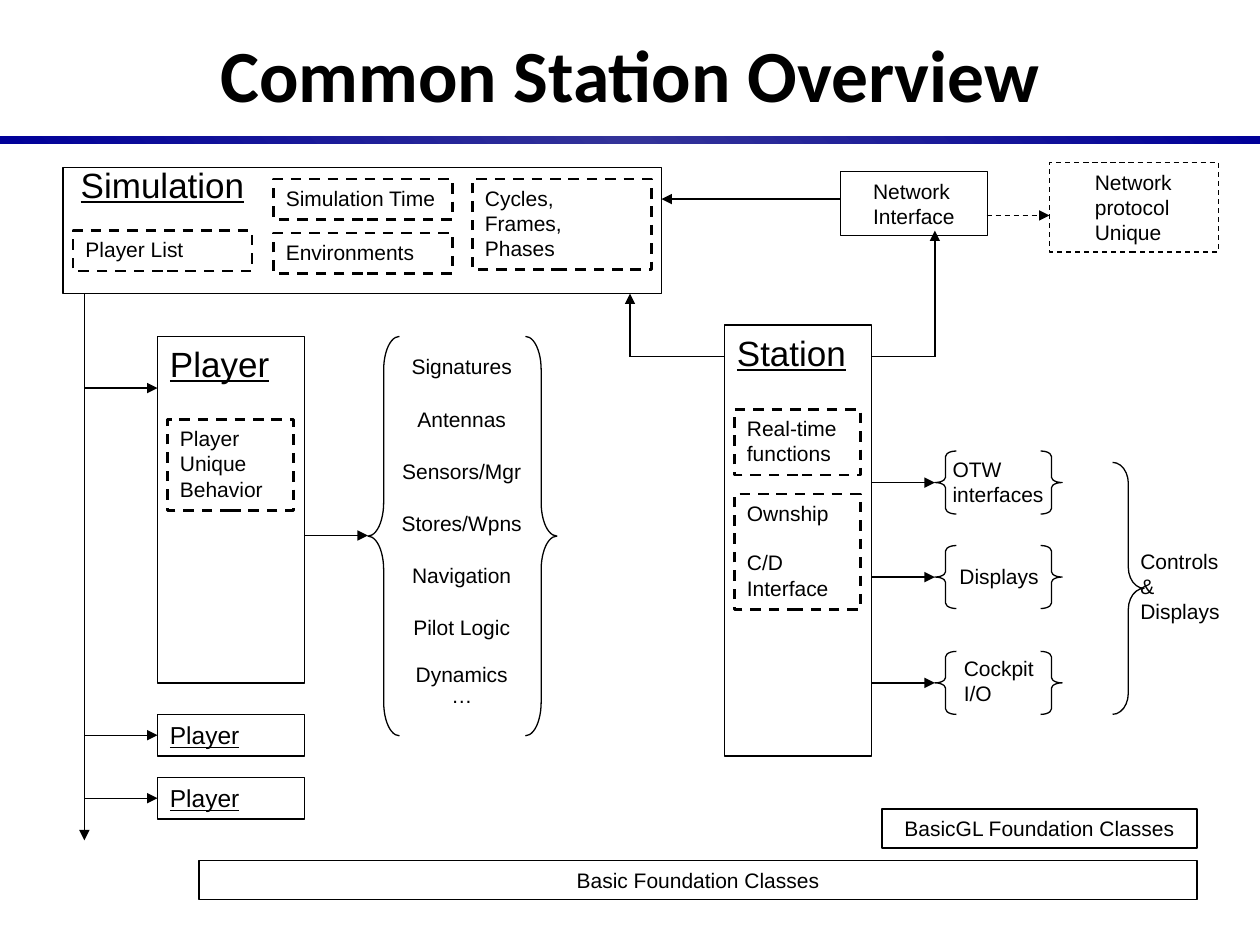
from copy import deepcopy
from dataclasses import dataclass

from lxml import etree
from pptx import Presentation
from pptx.dml.color import RGBColor
from pptx.enum.dml import MSO_LINE_DASH_STYLE as DASH
from pptx.enum.shapes import MSO_CONNECTOR as CONN, MSO_SHAPE as SHAPE
from pptx.enum.text import MSO_ANCHOR as ANCHOR, PP_ALIGN as ALIGN
from pptx.oxml.ns import qn
from pptx.util import Inches, Pt

BLACK, NAVY, INDIGO = "000000", "000099", "333399"
THIN, THICK = 0.75, 1.5


@dataclass
class Box:
    x: float
    y: float
    w: float
    h: float
    text: str = ""
    size: int = 12
    heading: bool = False  # underlined
    outline: float = THIN  # 0 gives a plain label
    dashed: bool = False
    inset: float = 0  # left margin of left-aligned text; 0 centres it
    anchor: ANCHOR = ANCHOR.MIDDLE


@dataclass
class Line:
    x1: float
    y1: float
    x2: float
    y2: float
    arrow: bool = True
    dashed: bool = False


def colour(value: str) -> RGBColor:
    return RGBColor.from_string(value)


def style_line(line, width: float, dashed: bool = False) -> None:
    line.color.rgb = colour(BLACK)
    line.width = Pt(width)
    if dashed:
        line.dash_style = DASH.DASH


def draw_box(shapes, box: Box):
    place = [Inches(v) for v in (box.x, box.y, box.w, box.h)]
    if box.outline:
        sp = shapes.add_shape(SHAPE.RECTANGLE, *place)
        sp.shadow.inherit = False
        sp.fill.background()
        style_line(sp.line, box.outline, box.dashed)
    else:
        sp = shapes.add_textbox(*place)
    if box.text:
        tf = sp.text_frame
        tf.text = box.text
        tf.word_wrap = True
        tf.vertical_anchor = box.anchor
        tf.margin_left, tf.margin_right = Inches(box.inset), 0
        for p in tf.paragraphs:
            p.alignment = ALIGN.LEFT if box.inset else ALIGN.CENTER
            for r in p.runs:
                r.font.name = "Arial"
                r.font.size = Pt(box.size)
                r.font.underline = box.heading
                r.font.color.rgb = colour(BLACK)
    return sp


def draw_line(shapes, line: Line):
    cxn = shapes.add_connector(
        CONN.STRAIGHT, *(Inches(v) for v in (line.x1, line.y1, line.x2, line.y2)))
    style_line(cxn.line, THIN, line.dashed)
    if line.arrow:
        etree.SubElement(cxn.line._get_or_add_ln(), qn("a:tailEnd"), type="triangle")
    etree.SubElement(cxn._element.spPr, qn("a:effectLst"))
    return cxn


def draw_brace(shapes, kind: SHAPE, x: float, y: float, w: float, h: float, curve: float) -> None:
    sp = shapes.add_shape(kind, *(Inches(v) for v in (x, y, w, h)))
    sp.shadow.inherit = False
    sp.fill.background()
    sp.adjustments[0] = curve
    style_line(sp.line, THIN)


def label(x: float, y: float, w: float, h: float, text: str, inset: float = 0) -> Box:
    return Box(x, y, w, h, text, outline=0, inset=inset)


def heading(x: float, y: float, w: float, h: float, text: str, size: int,
            inset: float = 0.1) -> Box:
    return Box(x, y, w, h, text, size, heading=True, outline=0, inset=inset)


def part(x: float, y: float, w: float, h: float, text: str) -> Box:
    return Box(x, y, w, h, text, outline=THICK, dashed=True, inset=0.1, anchor=ANCHOR.TOP)


def draw_title(slide) -> None:
    bar = slide.shapes.add_shape(SHAPE.RECTANGLE, 0, Inches(1.08), Inches(10), Inches(0.06))
    bar.shadow.inherit = False
    bar.line.fill.background()
    bar.fill.gradient()
    bar.fill.gradient_angle = 45
    first = bar.fill._fill._gradFill.gsLst[0]
    first.addnext(deepcopy(first))
    for stop, (pos, value) in zip(bar.fill.gradient_stops, [(0, NAVY), (0.5, INDIGO), (1, NAVY)]):
        stop.position = pos
        stop.color.rgb = colour(value)

    title = slide.shapes.title
    title.left, title.top, title.width, title.height = (Inches(v) for v in (0, 0.08, 10, 1))
    title.text_frame.text = "Common Station Overview"
    title.text_frame.vertical_anchor = ANCHOR.MIDDLE
    p = title.text_frame.paragraphs[0]
    p.alignment = ALIGN.CENTER
    font = p.runs[0].font
    font.name, font.size, font.bold = "Calibri", Pt(42), True
    font.color.rgb = colour(BLACK)


def draw_simulation(shapes) -> None:
    for box in (
        Box(0.5, 1.33, 4.75, 1),
        heading(0.25, 1.25, 2.08, 0.43, "Simulation", 20, inset=0),
        part(0.58, 1.83, 1.42, 0.32, "Player List"),
        part(2.17, 1.42, 1.42, 0.32, "Simulation Time"),
        part(2.17, 1.85, 1.42, 0.32, "Environments"),
        part(3.75, 1.42, 1.42, 0.72, "Cycles,\nFrames,\nPhases"),
    ):
        draw_box(shapes, box)


def draw_players(shapes) -> None:
    draw_box(shapes, Box(1.25, 2.67, 1.17, 2.75))
    draw_box(shapes, heading(1.25, 2.67, 1.08, 0.43, "Player", 20))
    draw_box(shapes, part(1.33, 3.33, 1, 0.72, "Player\nUnique\nBehavior"))
    draw_line(shapes, Line(0.67, 2.33, 0.67, 6.67))
    draw_line(shapes, Line(0.67, 3.08, 1.25, 3.08))
    height = 0.33
    for y in (5.67, 6.17):
        frame = draw_box(shapes, Box(1.25, y, 1.17, height))
        draw_box(shapes, heading(1.25, y, 1.08, height, "Player", 14))
        middle = y + height / 2
        draw_line(shapes, Line(0.67, middle, 1.25, middle)).end_connect(frame, 1)

    # Player components between braces
    draw_line(shapes, Line(2.42, 4.25, 2.92, 4.25))
    draw_brace(shapes, SHAPE.LEFT_BRACE, 2.92, 2.67, 0.25, 3.17, 1.06)
    draw_brace(shapes, SHAPE.RIGHT_BRACE, 4.17, 2.67, 0.25, 3.17, 1.06)
    names = ["Signatures", "Antennas", "Sensors/Mgr", "Stores/Wpns", "Navigation", "Pilot Logic"]
    pitch = (4.83 - 2.76) / (len(names) - 1)
    rows = [(2.76 + i * pitch, name) for i, name in enumerate(names)]
    for y, name in rows + [(5.2, "Dynamics"), (5.37, "…")]:
        draw_box(shapes, label(3.08, y, 1.17, 0.3, name))


def draw_station(shapes) -> None:
    draw_box(shapes, Box(5.75, 2.58, 1.17, 3.42))
    draw_box(shapes, heading(5.75, 2.58, 1.08, 0.43, "Station", 20))
    draw_box(shapes, part(5.83, 3.25, 1, 0.52, "Real-time\nfunctions"))
    ownship = draw_box(shapes, part(5.83, 3.92, 1, 0.92, "Ownship\nC/D\nInterface"))
    ownship.text_frame.paragraphs[1].space_before = Pt(14)

    # Station outputs, each between small braces
    for y, output in (
        (3.83, label(7.42, 3.57, 1, 0.5, "OTW interfaces", inset=0.14)),
        (4.58, label(7.51, 4.42, 0.84, 0.3, "Displays")),
        (5.42, label(7.51, 5.15, 0.84, 0.5, "Cockpit\nI/O", inset=0.14)),
    ):
        draw_line(shapes, Line(6.92, y, 7.42, y))
        draw_box(shapes, output)
        draw_brace(shapes, SHAPE.LEFT_BRACE, 7.42, y - 0.25, 0.17, 0.5, 0.25)
        draw_brace(shapes, SHAPE.RIGHT_BRACE, 8.26, y - 0.25, 0.17, 0.5, 0.25)
    draw_brace(shapes, SHAPE.RIGHT_BRACE, 8.83, 3.67, 0.25, 2, 0.67)
    draw_box(shapes, label(8.91, 4.3, 0.92, 0.7, "Controls\n&\nDisplays", inset=0.14))


def draw_network(shapes) -> None:
    draw_box(shapes, Box(6.67, 1.36, 1.17, 0.51, "Network Interface", inset=0.26))
    draw_box(shapes, Box(8.33, 1.29, 1.34, 0.71, "Network protocol Unique",
                         dashed=True, inset=0.36))
    for line in (
        Line(7.83, 1.71, 8.33, 1.71, dashed=True),
        Line(6.67, 1.58, 5.25, 1.58),
        Line(5, 2.83, 5, 2.33),
        Line(7.42, 2.83, 7.42, 1.83),
        Line(5, 2.83, 5.75, 2.83, arrow=False),
        Line(6.92, 2.83, 7.42, 2.83, arrow=False),
    ):
        draw_line(shapes, line)


def main() -> None:
    prs = Presentation()
    prs.slide_width, prs.slide_height = Inches(10), Inches(7.5)
    slide = prs.slides.add_slide(prs.slide_layouts[5])
    draw_title(slide)
    draw_simulation(slide.shapes)
    draw_players(slide.shapes)
    draw_station(slide.shapes)
    draw_network(slide.shapes)
    # Foundation layers
    draw_box(slide.shapes, Box(7, 6.42, 2.5, 0.31, "BasicGL Foundation Classes"))
    draw_box(slide.shapes, Box(1.58, 6.83, 7.92, 0.31, "Basic Foundation Classes"))
    prs.save("out.pptx")


if __name__ == "__main__":
    main()
